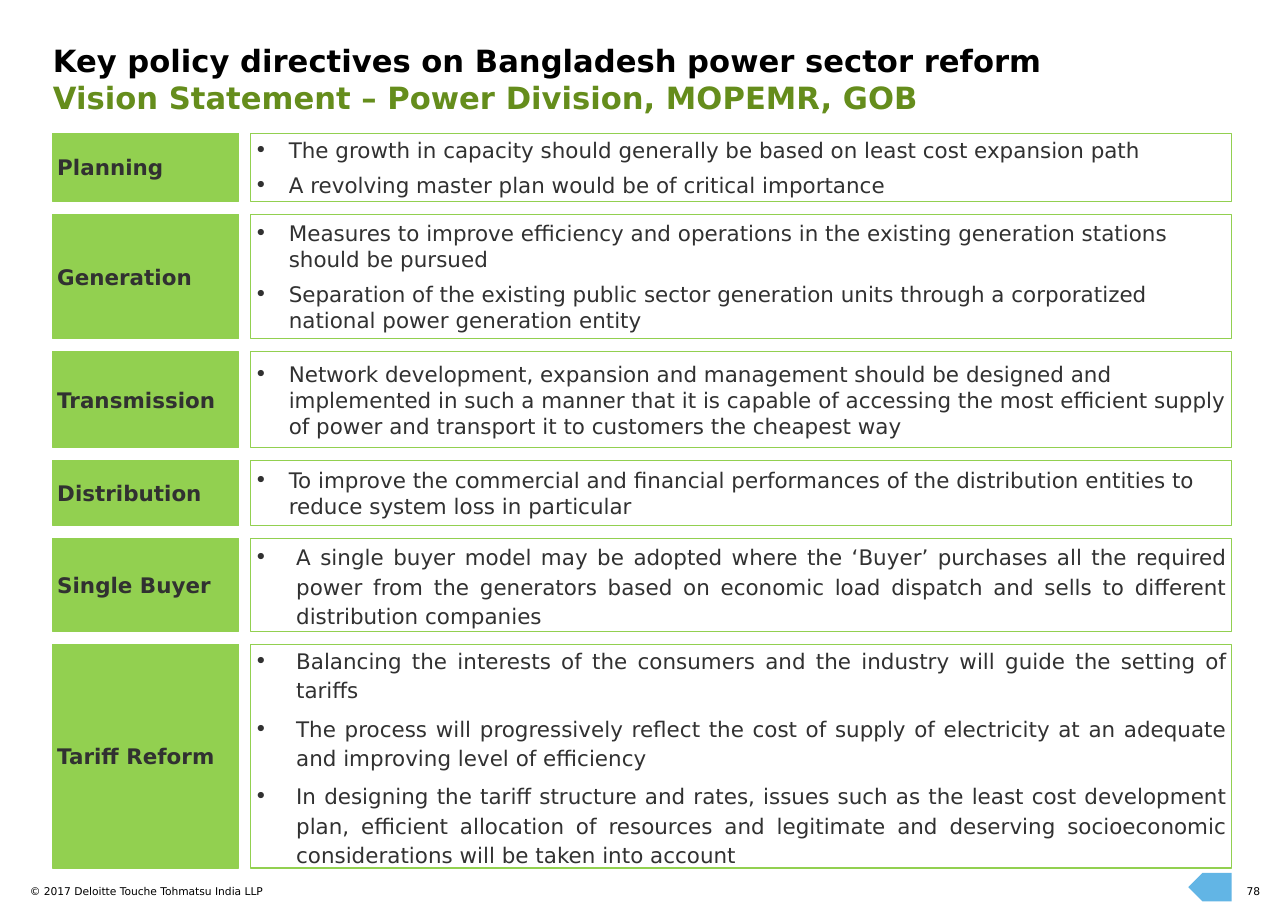
from dataclasses import dataclass

from lxml.etree import SubElement
from pptx import Presentation
from pptx.dml.color import RGBColor
from pptx.enum.shapes import MSO_SHAPE
from pptx.enum.text import MSO_ANCHOR, MSO_AUTO_SIZE, PP_ALIGN
from pptx.oxml.ns import qn
from pptx.util import Cm, Pt

FONT_NAME = "DejaVu Sans"
GREEN, DARK_GREEN, BLUE = "92D050", "658D1C", "62B5E5"
BLACK, DARK_GREY = "000000", "313131"

LEFT, LABEL_WIDTH = 1.22, 4.29
BODY_LEFT, BODY_WIDTH = 5.77, 22.63
FIRST_TOP, ROW_GAP = 3.07, 0.3

SPACED = {"alignment": PP_ALIGN.LEFT, "space_before": Pt(6)}
JUSTIFIED = {"alignment": PP_ALIGN.JUSTIFY, "line_spacing": 1.14, "space_after": Pt(6)}


@dataclass
class Directive:
    label: str
    height: float
    points: list[str]
    paragraph_format: dict
    indent: float


@dataclass
class FooterText:
    text: str
    left: float
    width: float
    alignment: PP_ALIGN


DIRECTIVES = [
    Directive("Planning", 1.57, [
        "The growth in capacity should generally be based on least cost expansion path",
        "A revolving master plan would be of critical importance",
    ], SPACED, 0.79),
    Directive("Generation", 2.87, [
        "Measures to improve efficiency and operations in the existing generation "
        "stations should be pursued",
        "Separation of the existing public sector generation units through a "
        "corporatized national power generation entity",
    ], SPACED, 0.79),
    Directive("Transmission", 2.21, [
        "Network development, expansion and management should be designed and "
        "implemented in such a manner that it is capable of accessing the most "
        "efficient supply of power and transport it to customers the cheapest way",
    ], SPACED, 0.79),
    Directive("Distribution", 1.5, [
        "To improve the commercial and financial performances of the distribution "
        "entities to reduce system loss in particular",
    ], SPACED, 0.79),
    Directive("Single Buyer", 2.13, [
        "A single buyer model may be adopted where the ‘Buyer’ purchases all the "
        "required power from the generators based on economic load dispatch and "
        "sells to different distribution companies",
    ], JUSTIFIED, 0.96),
    Directive("Tariff Reform", 5.16, [
        "Balancing the interests of the consumers and the industry will guide the "
        "setting of tariffs",
        "The process will progressively reflect the cost of supply of electricity at "
        "an adequate and improving level of efficiency",
        "In designing the tariff structure and rates, issues such as the least cost "
        "development plan, efficient allocation of resources and legitimate and "
        "deserving socioeconomic considerations will be taken into account",
    ], JUSTIFIED, 0.96),
]

FOOTER_TEXTS = [
    FooterText("© 2017 Deloitte Touche Tohmatsu India LLP", 0.69, 13.03, PP_ALIGN.LEFT),
    FooterText("78", 28.3, 0.76, PP_ALIGN.RIGHT),
]


def color(hex_value: str) -> RGBColor:
    return RGBColor.from_string(hex_value)


def set_attributes(target, values: dict) -> None:
    for name, value in values.items():
        setattr(target, name, value)


def format_font(font, size: float, hex_value: str, bold: bool = False) -> None:
    set_attributes(font, {"name": FONT_NAME, "size": Pt(size), "bold": bold})
    font.color.rgb = color(hex_value)


def format_frame(text_frame, anchor: MSO_ANCHOR, side_margin: float = 0) -> None:
    set_attributes(text_frame, {
        "word_wrap": True, "auto_size": MSO_AUTO_SIZE.NONE, "vertical_anchor": anchor,
        "margin_left": Cm(side_margin), "margin_right": Cm(side_margin),
        "margin_top": 0, "margin_bottom": 0,
    })


def add_bullet(paragraph, indent: float) -> None:
    properties = paragraph._p.get_or_add_pPr()
    properties.set("marL", str(Cm(indent)))
    properties.set("indent", str(-Cm(indent)))
    SubElement(properties, qn("a:buFont"), typeface=FONT_NAME)
    SubElement(properties, qn("a:buChar"), char="•")


def add_box(slide, left: float, top: float, width: float, height: float):
    shape = slide.shapes.add_shape(
        MSO_SHAPE.RECTANGLE, Cm(left), Cm(top), Cm(width), Cm(height))
    shape.shadow.inherit = False
    shape.line.color.rgb = color(GREEN)
    shape.line.width = Pt(0.75)
    format_frame(shape.text_frame, MSO_ANCHOR.MIDDLE, 0.1)
    return shape


def add_directive(slide, directive: Directive, top: float) -> None:
    label = add_box(slide, LEFT, top, LABEL_WIDTH, directive.height)
    label.fill.solid()
    label.fill.fore_color.rgb = color(GREEN)
    paragraph = label.text_frame.paragraphs[0]
    paragraph.text = directive.label
    paragraph.alignment = PP_ALIGN.LEFT
    format_font(paragraph.font, 14, DARK_GREY, bold=True)

    body = add_box(slide, BODY_LEFT, top, BODY_WIDTH, directive.height)
    body.fill.background()
    body.text_frame.text = "\n".join(directive.points)
    for index, paragraph in enumerate(body.text_frame.paragraphs):
        add_bullet(paragraph, directive.indent)
        set_attributes(paragraph, directive.paragraph_format)
        if index == 0:
            paragraph.space_before = Pt(0)
        format_font(paragraph.font, 14, DARK_GREY)


def add_title(slide) -> None:
    title = slide.shapes.title
    set_attributes(title, {
        "left": Cm(LEFT), "top": Cm(0.97), "width": Cm(27.18), "height": Cm(1.02)})
    format_frame(title.text_frame, MSO_ANCHOR.TOP)
    paragraph = title.text_frame.paragraphs[0]
    paragraph.alignment = PP_ALIGN.LEFT
    heading = paragraph.add_run()
    heading.text = "Key policy directives on Bangladesh power sector reform "
    format_font(heading.font, 20, BLACK, bold=True)
    paragraph.add_line_break()
    subheading = paragraph.add_run()
    subheading.text = "Vision Statement – Power Division, MOPEMR, GOB"
    format_font(subheading.font, 20, DARK_GREEN, bold=True)


def add_footer_text(slide, footer: FooterText) -> None:
    text_box = slide.shapes.add_textbox(
        Cm(footer.left), Cm(20.4), Cm(footer.width), Cm(0.4))
    format_frame(text_box.text_frame, MSO_ANCHOR.TOP)
    paragraph = text_box.text_frame.paragraphs[0]
    paragraph.text = footer.text
    paragraph.alignment = footer.alignment
    format_font(paragraph.font, 7, BLACK)


def add_back_arrow(slide) -> None:
    arrow = slide.shapes.add_shape(
        MSO_SHAPE.PENTAGON, Cm(27.4), Cm(20.12), Cm(1.0), Cm(0.66))
    arrow.rotation = 180
    arrow.shadow.inherit = False
    arrow.fill.solid()
    arrow.fill.fore_color.rgb = color(BLUE)
    arrow.line.fill.background()


def main() -> None:
    presentation = Presentation()
    presentation.slide_width = Cm(29.7)
    presentation.slide_height = Cm(21)
    slide = presentation.slides.add_slide(presentation.slide_layouts[5])

    add_title(slide)

    # Directive rows
    top = FIRST_TOP
    for directive in DIRECTIVES:
        add_directive(slide, directive, top)
        top += directive.height + ROW_GAP

    # Footer
    for footer in FOOTER_TEXTS:
        add_footer_text(slide, footer)
    add_back_arrow(slide)

    presentation.save("out.pptx")


if __name__ == "__main__":
    main()
